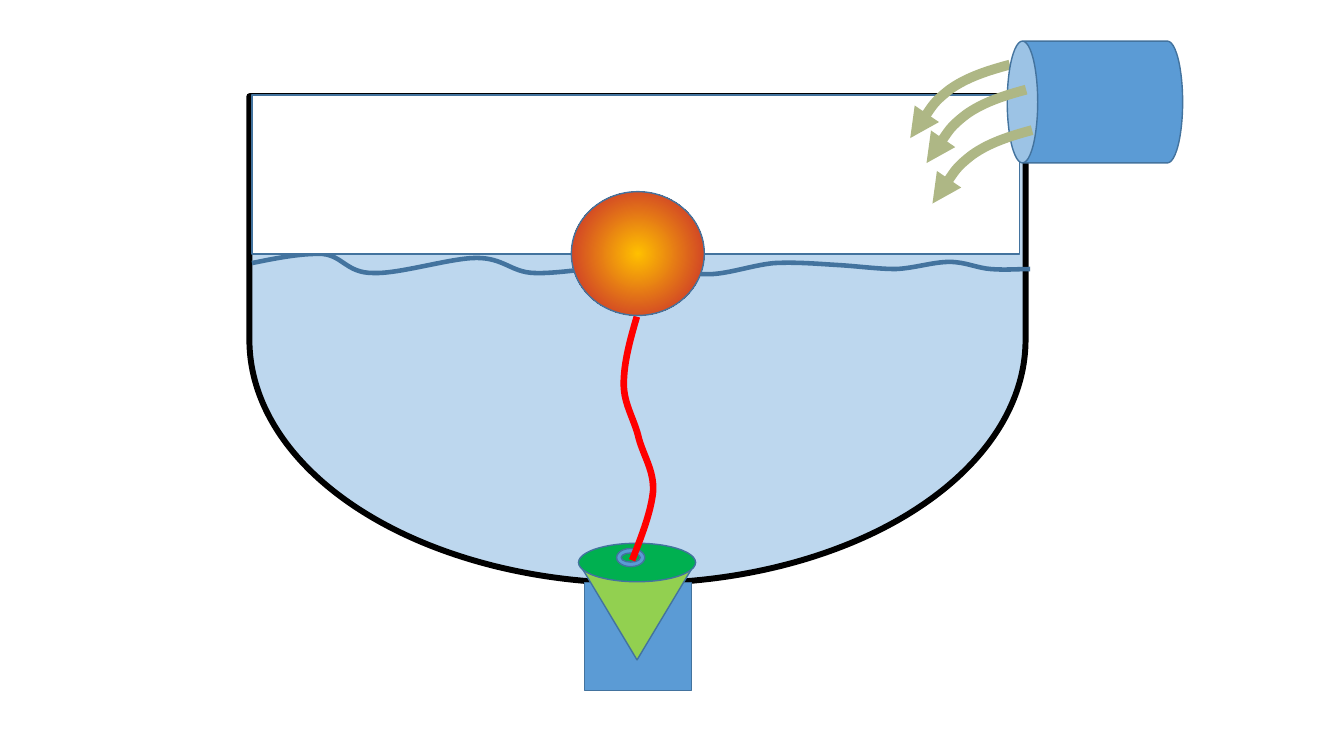
from dataclasses import dataclass
from typing import Optional

from lxml.etree import SubElement
from pptx import Presentation
from pptx.dml.color import RGBColor
from pptx.enum.shapes import MSO_SHAPE
from pptx.oxml import parse_xml
from pptx.oxml.ns import nsdecls, qn
from pptx.util import Cm, Pt


@dataclass(frozen=True)
class Theme:
    water: str = "BDD7EE"
    pipe: str = "5B9BD5"
    edge: str = "43739E"
    wall: str = "000000"
    plug: str = "92D050"
    lid: str = "00B050"
    cord: str = "FF0000"
    air: str = "FFFFFF"
    flow: str = "AEB785"
    glow: tuple = ((0, "FFC000"), (74, "D24726"), (83, "734F29"), (100, "D24726"))
    thin: float = 1
    wave: float = 3.25
    thick: float = 4.25
    rope: float = 4.75
    jet: float = 7


THEME = Theme()


@dataclass(frozen=True)
class Part:
    kind: MSO_SHAPE
    box: tuple
    fill: Optional[str] = None
    line: str = THEME.edge
    width: float = THEME.thin
    turn: float = 0
    adjust: Optional[float] = None


@dataclass(frozen=True)
class Curve:
    points: tuple
    line: str
    width: float
    arrow: bool = False


def style(shape, line: str, width: float) -> None:
    shape.shadow.inherit = False
    shape.line.color.rgb = RGBColor.from_string(line)
    shape.line.width = Pt(width)


def draw_part(shapes, part: Part):
    shape = shapes.add_shape(part.kind, *map(Cm, part.box))
    shape.rotation = part.turn
    if part.adjust is not None:
        shape.adjustments[0] = part.adjust
    if part.fill:
        shape.fill.solid()
        shape.fill.fore_color.rgb = RGBColor.from_string(part.fill)
    style(shape, part.line, part.width)
    return shape


def draw_curve(shapes, curve: Curve) -> None:
    start, *rest = [(Cm(x), Cm(y)) for x, y in curve.points]
    build = shapes.build_freeform(*start)
    build.add_line_segments(rest, close=False)
    shape = build.convert_to_shape()
    shape.fill.background()
    style(shape, curve.line, curve.width)
    # Every three points make one Bezier segment
    track = next(shape._element.iter(qn("a:path")))
    legs = track.findall(qn("a:lnTo"))
    for i in range(0, len(legs), 3):
        bend = SubElement(track, qn("a:cubicBezTo"))
        for leg in legs[i:i + 3]:
            bend.append(leg[0])
            track.remove(leg)
    if curve.arrow:
        SubElement(shape.line._get_or_add_ln(), qn("a:tailEnd"), type="triangle")


def glow(shape, stops: tuple) -> None:
    marks = "".join(
        f'<a:gs pos="{pos * 1000}"><a:srgbClr val="{rgb}"/></a:gs>' for pos, rgb in stops
    )
    fill = parse_xml(
        f'<a:gradFill {nsdecls("a")} rotWithShape="1"><a:gsLst>{marks}</a:gsLst>'
        '<a:path path="circle"><a:fillToRect l="50000" t="50000" r="50000" b="50000"/>'
        "</a:path></a:gradFill>"
    )
    shape._element.spPr.find(qn("a:prstGeom")).addnext(fill)


def jet(x: float, y: float) -> Curve:
    steps = ((0, 0), (-0.56, 0.15), (-1.09, 0.32), (-1.52, 0.63),
             (-1.93, 0.95), (-2.21, 1.4), (-2.51, 1.85))
    points = tuple((x + dx, y + dy) for dx, dy in steps)
    return Curve(points, THEME.flow, THEME.jet, arrow=True)


BOWL = Part(MSO_SHAPE.FLOWCHART_DELAY, (9.93, -1.22, 12.27, 19.56), THEME.water,
            THEME.wall, THEME.thick, turn=90)
DRAIN = Part(MSO_SHAPE.TRAPEZOID, (14.73, 14.68, 2.69, 2.72), THEME.pipe,
             turn=180, adjust=0)
PLUG = (
    Part(MSO_SHAPE.FLOWCHART_MERGE, (14.58, 14.17, 2.95, 2.46), THEME.plug),
    Part(MSO_SHAPE.OVAL, (14.58, 13.69, 2.95, 0.97), THEME.lid),
)
RING = Part(MSO_SHAPE.DONUT, (15.54, 13.82, 0.71, 0.46), THEME.pipe)
AIR = Part(MSO_SHAPE.RECTANGLE, (6.35, 2.39, 19.35, 4.01), THEME.air)
INLET = Part(MSO_SHAPE.CAN, (26.06, 0.36, 3.07, 4.42), THEME.pipe, turn=270)
BALL = Part(MSO_SHAPE.OVAL, (14.4, 4.83, 3.35, 3.12))

WAVE = Curve((
    (6.35, 6.63),
    (6.98, 6.5), (7.62, 6.38), (8.13, 6.4),
    (8.64, 6.45), (8.74, 6.88), (9.4, 6.88),
    (10.06, 6.91), (11.35, 6.5), (12.01, 6.5),
    (12.7, 6.5), (12.88, 6.86), (13.46, 6.88),
    (14.05, 6.91), (15.47, 6.68), (15.47, 6.68),
    (15.98, 6.63), (16.13, 6.53), (16.51, 6.58),
    (16.89, 6.6), (17.27, 6.91), (17.78, 6.91),
    (18.29, 6.93), (18.95, 6.68), (19.51, 6.63),
    (20.07, 6.6), (20.62, 6.65), (21.13, 6.68),
    (21.64, 6.71), (22.12, 6.78), (22.58, 6.78),
    (23.04, 6.76), (23.52, 6.6), (23.93, 6.6),
    (24.33, 6.6), (24.64, 6.76), (24.97, 6.78),
    (25.32, 6.81), (25.63, 6.78), (25.96, 6.78),
), THEME.edge, THEME.wave)
CORD = Curve((
    (16.05, 7.98),
    (15.88, 8.56), (15.72, 9.14), (15.72, 9.68),
    (15.72, 10.19), (16, 10.59), (16.1, 11.05),
    (16.23, 11.51), (16.48, 11.86), (16.46, 12.37),
    (16.41, 12.88), (16.18, 13.49), (15.93, 14.12),
), THEME.cord, THEME.rope)


def main() -> None:
    deck = Presentation()
    deck.slide_width, deck.slide_height = Cm(33.87), Cm(19.05)
    shapes = deck.slides.add_slide(deck.slide_layouts[6]).shapes

    # Bowl, drain and plug
    draw_part(shapes, BOWL)
    draw_part(shapes, DRAIN)
    group = shapes.add_group_shape()
    for part in PLUG:
        draw_part(group.shapes, part)

    # Water surface, cord and the air above
    draw_curve(shapes, WAVE)
    draw_part(shapes, RING)
    draw_curve(shapes, CORD)
    draw_part(shapes, AIR)

    # Inlet with its three jets
    draw_curve(shapes, jet(25.45, 1.63))
    draw_part(shapes, INLET)
    for x, y in ((26.01, 3.28), (25.86, 2.26)):
        draw_curve(shapes, jet(x, y))

    # Floating ball
    glow(draw_part(shapes, BALL), THEME.glow)
    deck.save("out.pptx")


if __name__ == "__main__":
    main()
